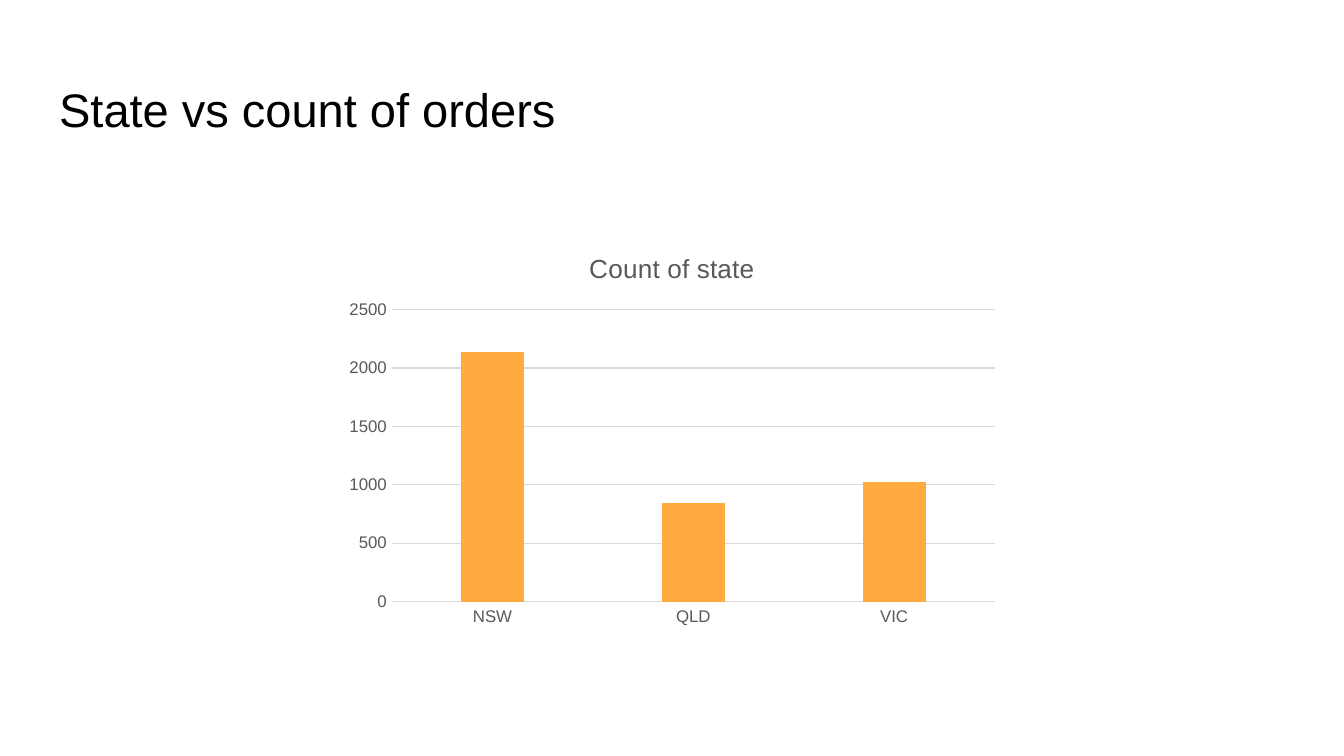
"""Build a slide with a column chart of orders by state."""
from dataclasses import dataclass

from pptx import Presentation
from pptx.chart.axis import _BaseAxis
from pptx.chart.chart import Chart
from pptx.chart.data import CategoryChartData
from pptx.dml.color import RGBColor
from pptx.enum.chart import XL_CHART_TYPE, XL_TICK_MARK
from pptx.enum.text import MSO_ANCHOR, PP_ALIGN
from pptx.slide import Slide
from pptx.text.text import Font
from pptx.util import Pt


@dataclass(frozen=True)
class Theme:
    """Colours and type sizes of the slide."""

    font: str = "Arial"
    black: RGBColor = RGBColor(0x00, 0x00, 0x00)
    grey: RGBColor = RGBColor(0x59, 0x59, 0x59)
    grid: RGBColor = RGBColor(0xD9, 0xD9, 0xD9)
    bar: RGBColor = RGBColor(0xFF, 0xAB, 0x40)
    title_size: float = 25.2
    chart_title_size: float = 14
    chart_size: float = 10
    axis_size: float = 9
    line_width: float = 0.75


@dataclass(frozen=True)
class StateCount:
    """Number of orders in one state."""

    state: str
    orders: int


THEME = Theme()
STATE_COUNTS = [
    StateCount("NSW", 2140),
    StateCount("QLD", 840),
    StateCount("VIC", 1020),
]


def style_font(font: Font, size: float, color: RGBColor) -> None:
    """Apply the theme typeface with a size and colour."""
    font.name = THEME.font
    font.size = Pt(size)
    font.bold = False
    font.color.rgb = color


def add_title(slide: Slide, text: str) -> None:
    """Place and format the title placeholder."""
    title = slide.shapes.title
    title.left, title.top = Pt(24.5), Pt(35.3)
    title.width, title.height = Pt(671), Pt(45.4)
    frame = title.text_frame
    frame.text = text
    frame.word_wrap = True
    frame.vertical_anchor = MSO_ANCHOR.MIDDLE
    frame.margin_left = frame.margin_right = Pt(7.2)
    frame.margin_top = frame.margin_bottom = Pt(7.2)
    paragraph = frame.paragraphs[0]
    paragraph.alignment = PP_ALIGN.LEFT
    style_font(paragraph.font, THEME.title_size, THEME.black)


def style_axis(axis: _BaseAxis) -> None:
    """Remove tick marks and format the axis labels."""
    axis.major_tick_mark = XL_TICK_MARK.NONE
    axis.minor_tick_mark = XL_TICK_MARK.NONE
    style_font(axis.tick_labels.font, THEME.axis_size, THEME.grey)


def style_chart(chart: Chart, title: str) -> None:
    """Format the title, axes and columns of the chart."""
    style_font(chart.font, THEME.chart_size, THEME.black)
    chart.has_legend = False
    chart.has_title = True
    frame = chart.chart_title.text_frame
    frame.text = title
    style_font(frame.paragraphs[0].font, THEME.chart_title_size, THEME.grey)
    chart.chart_title.include_in_layout = False

    for axis in (chart.category_axis, chart.value_axis):
        style_axis(axis)
    chart.value_axis.has_major_gridlines = True
    chart.value_axis.format.line.fill.background()
    for line in (
        chart.category_axis.format.line,
        chart.value_axis.major_gridlines.format.line,
    ):
        line.color.rgb = THEME.grid
        line.width = Pt(THEME.line_width)

    plot = chart.plots[0]
    plot.gap_width = 219
    plot.overlap = -27
    plot.vary_by_categories = False
    fill = plot.series[0].format.fill
    fill.solid()
    fill.fore_color.rgb = THEME.bar


def add_order_chart(slide: Slide, counts: list[StateCount]) -> None:
    """Add the column chart of orders by state."""
    data = CategoryChartData()
    data.categories = [count.state for count in counts]
    data.add_series("Series 1", [count.orders for count in counts])
    frame = slide.shapes.add_chart(
        XL_CHART_TYPE.COLUMN_CLUSTERED, Pt(180), Pt(124), Pt(360), Pt(216), data
    )
    style_chart(frame.chart, "Count of state")


def main() -> None:
    """Build and save the presentation."""
    presentation = Presentation()
    presentation.slide_width, presentation.slide_height = Pt(720), Pt(405)
    slide = presentation.slides.add_slide(presentation.slide_layouts[5])
    add_title(slide, "State vs count of orders")
    add_order_chart(slide, STATE_COUNTS)
    presentation.save("out.pptx")


main()
